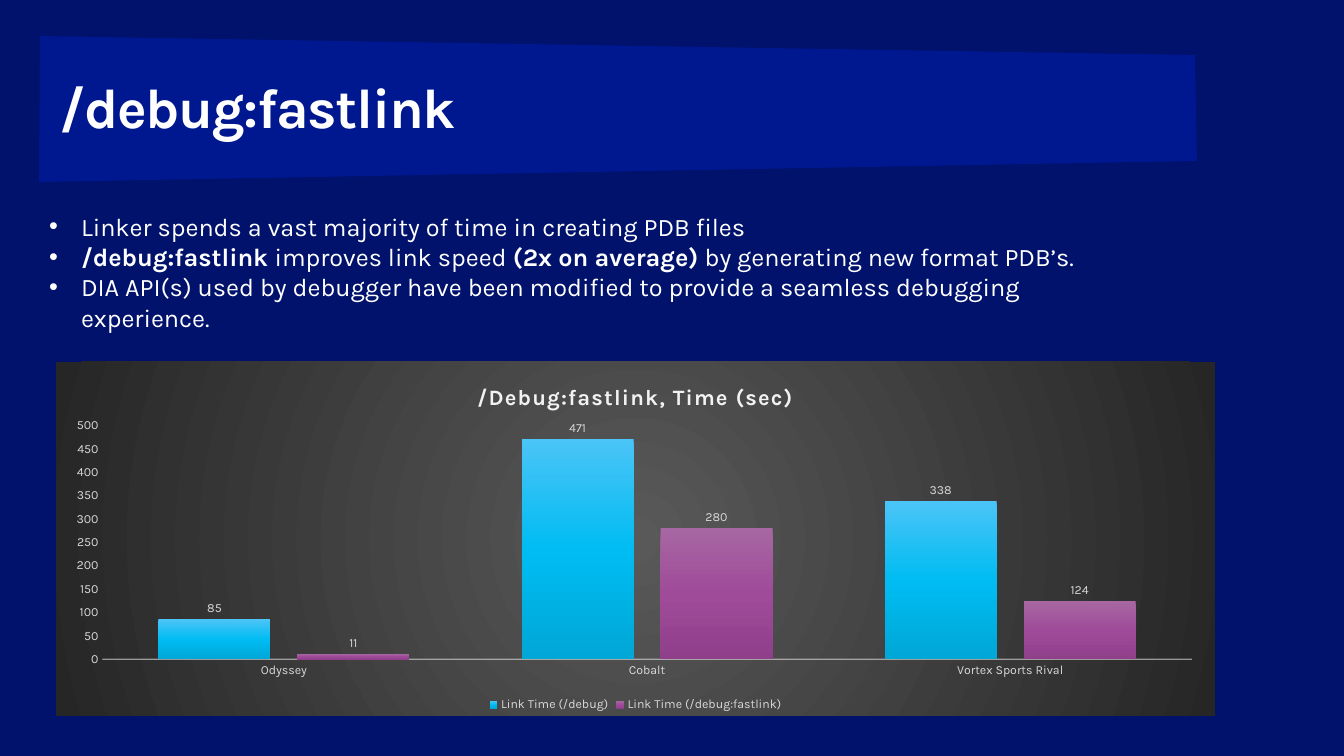
from pptx import Presentation
from pptx.chart.data import CategoryChartData as Data
from pptx.dml.color import RGBColor as RGB
from pptx.enum.chart import XL_CHART_TYPE as Kind, XL_LABEL_POSITION as Spot
from pptx.enum.chart import XL_LEGEND_POSITION as Side, XL_TICK_MARK as Tick
from pptx.enum.text import MSO_ANCHOR as Anchor, MSO_AUTO_SIZE as Fit, PP_ALIGN as Align
from pptx.oxml import parse_xml
from pptx.oxml.ns import nsdecls, qn
from pptx.util import Pt

UNIT = 9255
WHITE = "FFFFFF"
PALE = "D9D9D9"


def px(num):
    return int(num * UNIT)


def hue(code):
    return RGB.from_string(code)


def blend(stops, path):
    marks = "".join(
        f'<a:gs pos="{pos * 1000}"><a:srgbClr val="{code}"/></a:gs>' for pos, code in stops)
    return f'<a:gradFill {nsdecls("a")}><a:gsLst>{marks}</a:gsLst>{path}</a:gradFill>'


class Deck:
    """Holds the style and the current slide."""

    def __init__(self, wide, high, back, face):
        self.file = Presentation()
        self.file.slide_width, self.file.slide_height = px(wide), px(high)
        self.face = face
        self.slide = self.file.slides.add_slide(self.file.slide_layouts[1])
        fill = self.slide.background.fill
        fill.solid()
        fill.fore_color.rgb = hue(back)

    def style(self, font, size, code, bold=False):
        font.name, font.size, font.bold = self.face, Pt(size), bold
        font.color.rgb = hue(code)

    def frame(self, shape, box, pad, anchor):
        shape.left, shape.top, shape.width, shape.height = map(px, box)
        text = shape.text_frame
        text.word_wrap, text.auto_size = True, Fit.NONE
        text.vertical_anchor = anchor
        text.margin_left = text.margin_right = px(pad[0])
        text.margin_top = text.margin_bottom = px(pad[1])
        return text

    def title(self, words, box, size):
        text = self.frame(self.slide.shapes.title, box, (20, 16), Anchor.MIDDLE)
        text.text = words
        para = text.paragraphs[0]
        para.alignment, para.line_spacing = Align.LEFT, 0.95
        run = para.runs[0]
        self.style(run.font, size, WHITE, True)
        run.font._element.set("spc", "-100")

    def panel(self, spots, code):
        pen = self.slide.shapes.build_freeform(*spots[0], scale=UNIT)
        pen.add_line_segments(spots[1:], close=True)
        shape = pen.convert_to_shape()
        shape.shadow.inherit = False
        shape.fill.solid()
        shape.fill.fore_color.rgb = hue(code)
        shape.line.fill.background()
        self.slide.shapes.title.element.addprevious(shape.element)

    def bullets(self, items, box, size):
        text = self.frame(self.slide.placeholders[1], box, (10, 5), Anchor.TOP)
        for num, item in enumerate(items):
            para = text.add_paragraph() if num else text.paragraphs[0]
            para.alignment, para.space_before = Align.LEFT, Pt(0)
            props = para._p.get_or_add_pPr()
            props.set("marL", str(px(32)))
            props.set("indent", str(px(-32)))
            props.append(parse_xml(f'<a:buChar {nsdecls("a")} char="•"/>'))
            for words, bold in item:
                run = para.add_run()
                run.text = words
                self.style(run.font, size, WHITE, bold)

    def layout(self, part, index, **edges):
        old = part.find(qn("c:layout"))
        if old is not None:
            part.remove(old)
        inner = '<c:layoutTarget val="inner"/>' if "w" in edges else ""
        modes = '<c:xMode val="edge"/><c:yMode val="edge"/>'
        sides = "".join(f'<c:{key} val="{val}"/>' for key, val in edges.items())
        part.insert(index, parse_xml(
            f'<c:layout {nsdecls("c")}><c:manualLayout>{inner}{modes}{sides}'
            '</c:manualLayout></c:layout>'))

    def chart(self, name, cats, rows, box):
        data = Data()
        data.categories = cats
        for label, vals, _ in rows:
            data.add_series(label, vals)
        chart = self.slide.shapes.add_chart(
            Kind.COLUMN_CLUSTERED, *map(px, box), data).chart
        self.style(chart.font, 10, WHITE)
        root = chart.element
        glow = blend([(0, "595959"), (100, "262626")],
                     '<a:path path="circle"><a:fillToRect l="50000" t="50000" '
                     'r="50000" b="50000"/></a:path>')
        root.find(qn("c:chart")).addnext(parse_xml(
            f'<c:spPr {nsdecls("c", "a")}>{glow}<a:ln><a:noFill/></a:ln></c:spPr>'))

        chart.has_title = True
        text = chart.chart_title.text_frame
        text.text = name
        run = text.paragraphs[0].runs[0]
        self.style(run.font, 16, "F2F2F2", True)
        run.font._element.set("spc", "100")
        self.layout(next(root.iter(qn("c:title"))), 1, x=0.36, y=0.05)
        self.layout(next(root.iter(qn("c:plotArea"))), 0, x=0.04, y=0.18, w=0.94, h=0.66)

        chart.has_legend = True
        chart.legend.position = Side.BOTTOM
        chart.legend.include_in_layout = False
        self.style(chart.legend.font, 9, PALE)
        self.axes(chart)
        self.bars(chart, rows)

    def axes(self, chart):
        base, rise = chart.category_axis, chart.value_axis
        for axis in (base, rise):
            axis.major_tick_mark = axis.minor_tick_mark = Tick.NONE
            self.style(axis.tick_labels.font, 9, PALE)
        rise.has_major_gridlines = False
        rise.minimum_scale, rise.maximum_scale, rise.major_unit = 0, 500, 50
        rise.format.line.fill.background()
        base.format.line.width = Pt(1)
        base.format.line.color.rgb = hue("F2F2F2")
        props = next(chart.element.iter(qn("c:catAx"))).find(qn("c:spPr"))
        for tint in props.iter(qn("a:srgbClr")):
            tint.append(parse_xml(f'<a:alpha {nsdecls("a")} val="54000"/>'))

    def bars(self, chart, rows):
        plot = chart.plots[0]
        plot.gap_width, plot.overlap, plot.vary_by_categories = 100, -24, False
        plot.has_data_labels = True
        labels = plot.data_labels
        labels.show_value, labels.position = True, Spot.OUTSIDE_END
        self.style(labels.font, 9, PALE)
        nodes = chart.element.iter(qn("c:ser"))
        for bar, node, (_, _, tones) in zip(plot.series, list(nodes), rows):
            bar.format.fill.background()
            bar.format.line.fill.background()
            props = node.find(qn("c:spPr"))
            shade = blend(zip((0, 50, 100), tones), '<a:lin ang="5400000" scaled="0"/>')
            props.replace(props.find(qn("a:noFill")), parse_xml(shade))


def main():
    deck = Deck(1344, 756, "00126B", "Karla")
    deck.title("/debug:fastlink", (39, 36, 1159, 146), 40.8)
    deck.panel([(40, 36), (1195, 55), (1197, 161), (39, 182)], "00188F")
    deck.bullets([
        [("Linker spends a vast majority of time in creating PDB files", False)],
        [("/debug:fastlink ", True), ("improves link speed ", False),
         ("(2x on average)", True), (" by generating new format PDB’s.", False)],
        [("DIA API(s) used by debugger have been modified to provide "
          "a seamless debugging experience.", False)],
    ], (39, 206, 1110, 163), 18.4)
    deck.chart(
        "/Debug:fastlink, Time (sec)",
        ["Odyssey", "Cobalt", "Vortex Sports Rival"],
        [("Link Time (/debug)", (85, 471, 338), ("4BC4F7", "00BCF2", "00A7D7")),
         ("Link Time (/debug:fastlink)", (11, 280, 124), ("A767A2", "9F4B99", "903F8B"))],
        (56, 362, 1159, 354))
    deck.file.save("out.pptx")


if __name__ == "__main__":
    main()
